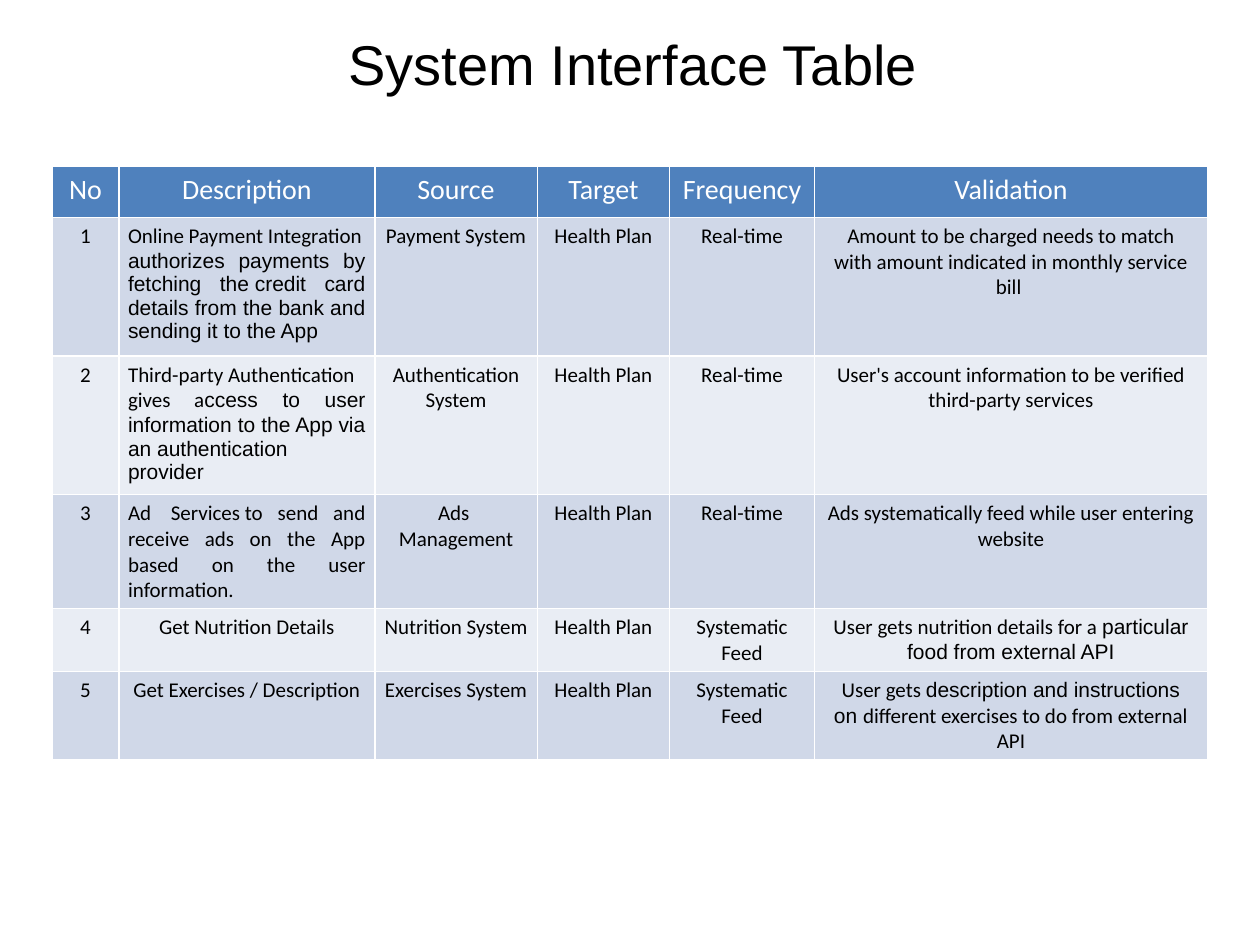
from lxml import etree
from pptx import Presentation
from pptx.dml.color import RGBColor
from pptx.enum.text import MSO_ANCHOR, PP_ALIGN
from pptx.oxml.ns import qn
from pptx.util import Pt

CENTER, JUSTIFY = PP_ALIGN.CENTER, PP_ALIGN.JUSTIFY
MIDDLE = MSO_ANCHOR.MIDDLE
BLACK, WHITE, HEADER = "000000", "FFFFFF", "4F81BD"
BANDS = ("D0D8E8", "E9EDF4")

COLUMN_WIDTHS = (38.2, 146.2, 92.9, 75.6, 82.8, 224.6)
ROW_HEIGHTS = (29, 79, 79, 65, 36, 50.4)
JUSTIFIED_ROWS = (1, 2, 3)
DESCRIPTION_COLUMN = 1

HEADINGS = ("No", "Description", "Source", "Target", "Frequency", "Validation")
INTERFACES = (
    ("1",
     "Online\u00a0Payment\u00a0Integration\n|authorizes payments by fetching the\u00a0credit card "
     "details from the bank and sending it to the App",
     "Payment System", "Health Plan", "Real-time",
     "Amount to be charged needs to match\vwith amount indicated in monthly service bill\u00a0"),
    ("2",
     "Third-party\u00a0Authentication gives a|ccess to user information to the App\u00a0via "
     "an\u00a0authentication provider",
     "Authentication\nSystem", "Health\u00a0Plan", "Real-time",
     "User's account information to be verified third-party services"),
    ("3",
     "Ad\u00a0 Services\u00a0to send and receive ads on the App based on the user information.",
     "Ads\u00a0 Management", "Health\u00a0Plan", "Real-time",
     "Ads systematically feed while user entering\vwebsite"),
    ("4", "Get Nutrition Details", "Nutrition System", "Health\u00a0Plan", "Systematic Feed",
     "User gets nutrition details\u00a0for a\u00a0|particular food from external API"),
    ("5", "Get Exercises / Description", "Exercises System", "Health\u00a0Plan", "Systematic Feed",
     "User gets |description and instructions on\u00a0|different\u00a0exercises to do from external API"),
)


def rgb(value):
    """Return the colour for a hex string."""
    return RGBColor.from_string(value)


def write_text(frame, text, size=12, color=BLACK, align=CENTER, fonts=("Calibri", "Arial")):
    """Write paragraphs split by newline; a bar switches the font, a vertical tab breaks the line."""
    for number, line in enumerate(text.split("\n")):
        para = frame.paragraphs[0] if number == 0 else frame.add_paragraph()
        para.alignment = align
        for index, piece in enumerate(line.split("|")):
            for part, words in enumerate(piece.split("\v")):
                if part:
                    para.add_line_break()
                if not words:
                    continue
                span = para.add_run()
                span.text = words
                span.font.size = Pt(size)
                span.font.name = fonts[index % len(fonts)]
                span.font.bold = False
                span.font.color.rgb = rgb(color)


def add_borders(cell, color=WHITE, width=1):
    """Draw a line on all four sides of a cell."""
    properties = cell._tc.get_or_add_tcPr()
    for position, side in enumerate(("a:lnL", "a:lnR", "a:lnT", "a:lnB")):
        line = etree.Element(qn(side), w=str(Pt(width)))
        fill = etree.SubElement(line, qn("a:solidFill"))
        etree.SubElement(fill, qn("a:srgbClr"), val=color)
        properties.insert(position, line)


def fill_cell(cell, text, fill, **text_format):
    """Set the text, fill, margins and borders of a cell."""
    cell.margin_left = cell.margin_right = Pt(5.2)
    cell.margin_top = cell.margin_bottom = Pt(3.6)
    cell.fill.solid()
    cell.fill.fore_color.rgb = rgb(fill)
    write_text(cell.text_frame, text, **text_format)
    add_borders(cell)


def add_title(page, text):
    """Add the slide title."""
    box = page.shapes.add_textbox(Pt(188.6), Pt(13), Pt(346.3), Pt(46))
    box.text_frame.word_wrap = False
    box.text_frame.vertical_anchor = MIDDLE
    write_text(box.text_frame, text, size=32, fonts=("Arial",))


def add_interface_table(page):
    """Add the table of system interfaces."""
    table = page.shapes.add_table(
        len(ROW_HEIGHTS), len(COLUMN_WIDTHS), Pt(29.8), Pt(95.2),
        Pt(sum(COLUMN_WIDTHS)), Pt(sum(ROW_HEIGHTS))).table
    table.first_row = table.horz_banding = False
    for column, width in zip(table.columns, COLUMN_WIDTHS):
        column.width = Pt(width)
    for row, height in zip(table.rows, ROW_HEIGHTS):
        row.height = Pt(height)
    for column, heading in enumerate(HEADINGS):
        fill_cell(table.cell(0, column), heading, HEADER, size=16, color=WHITE)
    for row, values in enumerate(INTERFACES, start=1):
        for column, text in enumerate(values):
            justified = column == DESCRIPTION_COLUMN and row in JUSTIFIED_ROWS
            fill_cell(table.cell(row, column), text, BANDS[(row - 1) % 2],
                      align=JUSTIFY if justified else CENTER)


def main():
    """Build and save the slide."""
    deck = Presentation()
    deck.slide_width, deck.slide_height = Pt(720), Pt(540)
    page = deck.slides.add_slide(deck.slide_layouts[6])
    add_title(page, "System Interface Table")
    add_interface_table(page)
    deck.save("out.pptx")


main()
